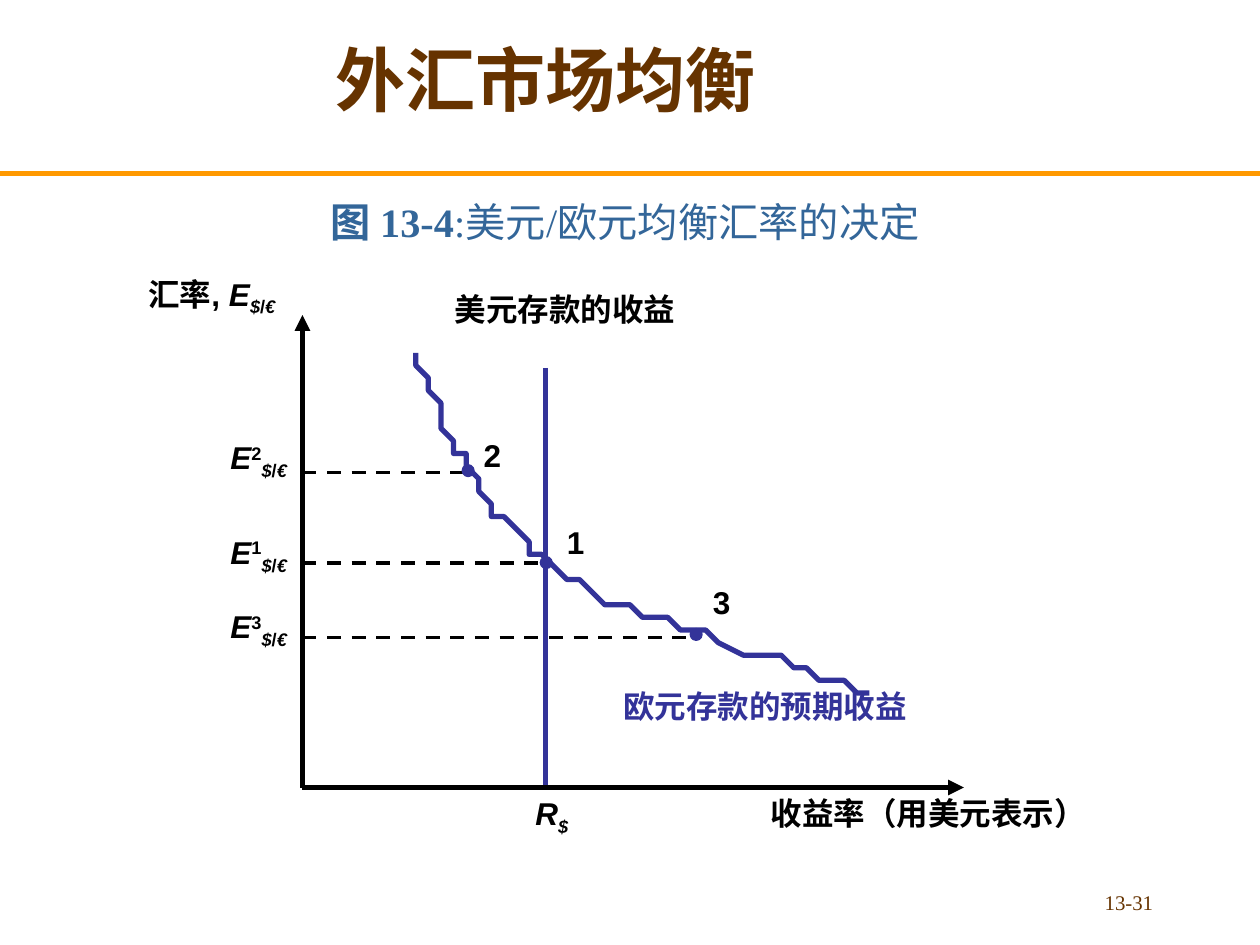
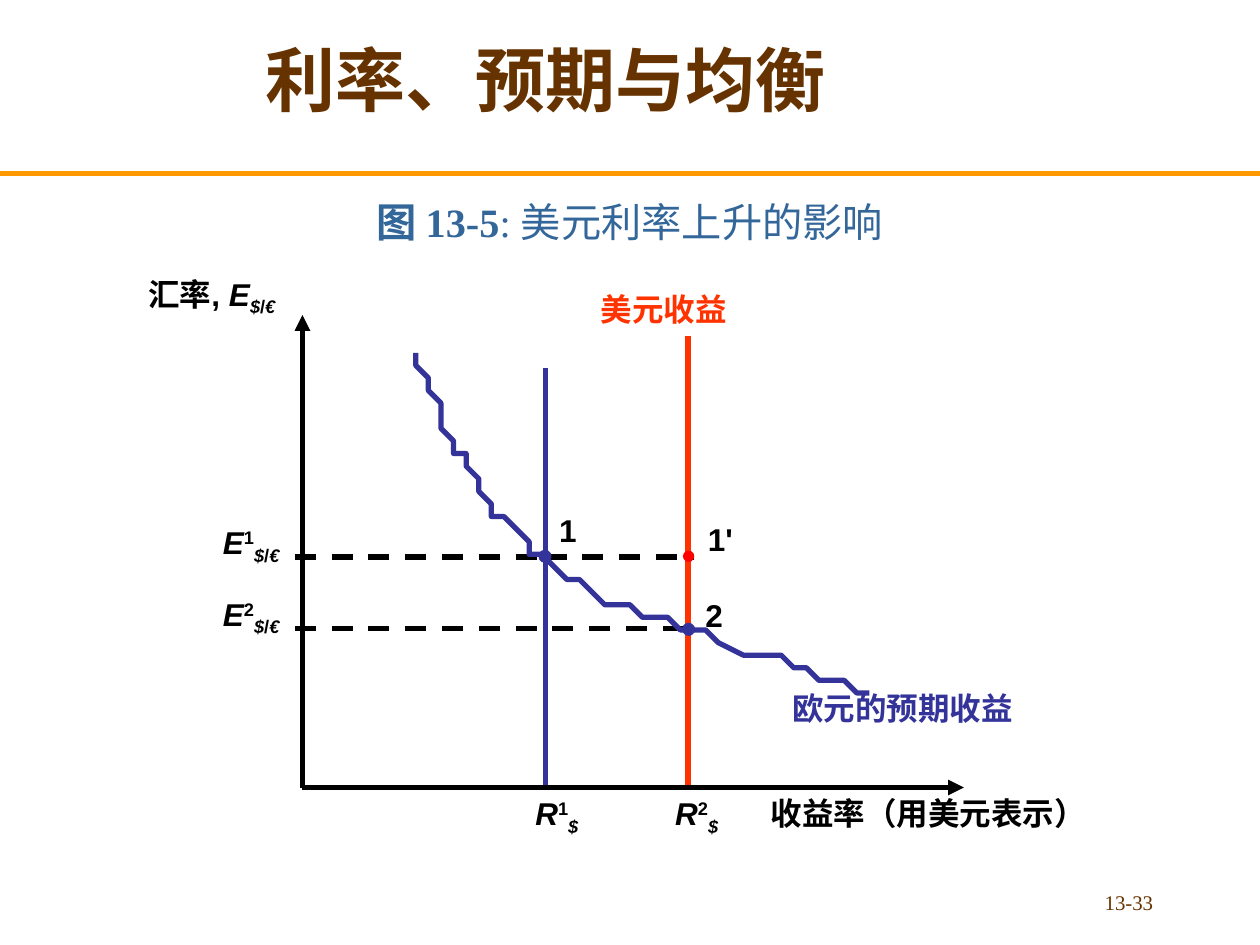
import pptx
import pptx.util
import pptx.dml.color
import pptx.enum.dml
import pptx.enum.shapes
import pptx.enum.text
import pptx.oxml.ns
from lxml import etree

COLORS = {"brown": "663300", "orange": "FF9900", "steel": "336699", "black": "000000",
          "indigo": "333399", "scarlet": "FF3300", "red": "FF0000"}
ALIGN = pptx.enum.text.PP_ALIGN
ANCHOR = pptx.enum.text.MSO_ANCHOR
rgb = pptx.dml.color.RGBColor.from_string

deck = pptx.Presentation()
deck.slide_width = pptx.util.Inches(10)
deck.slide_height = pptx.util.Inches(7.5)
# The slide is a grid of 100 columns by 75 rows.
COL = deck.slide_width / 100
ROW = deck.slide_height / 75


def draw_line(page, x1, y1, x2, y2, color, width=3, dashed=False, arrow=False):
    line = page.shapes.add_connector(
        pptx.enum.shapes.MSO_CONNECTOR.STRAIGHT,
        int(x1 * COL), int(y1 * ROW), int(x2 * COL), int(y2 * ROW))
    line.line.color.rgb = rgb(COLORS[color])
    line.line.width = pptx.util.Pt(width)
    if dashed:
        line.line.dash_style = pptx.enum.dml.MSO_LINE.DASH
    properties = line._element.spPr
    if arrow:
        etree.SubElement(properties.find(pptx.oxml.ns.qn("a:ln")),
                         pptx.oxml.ns.qn("a:tailEnd"), type="triangle")
    etree.SubElement(properties, pptx.oxml.ns.qn("a:effectLst"))


def add_text(page, x, y, width, height, spans, color="black", size=18, font="Arial",
             align=ALIGN.LEFT, anchor=ANCHOR.TOP):
    """Spans are (text, style): b bold, i italic, + superscript, - subscript."""
    box = page.shapes.add_textbox(int(x * COL), int(y * ROW), int(width * COL), int(height * ROW))
    box.text_frame.word_wrap = True
    box.text_frame.vertical_anchor = anchor
    para = box.text_frame.paragraphs[0]
    para.alignment = align
    for text, style in spans:
        span = para.add_run()
        span.text = text
        span.font.name = font
        span.font.size = pptx.util.Pt(size)
        span.font.color.rgb = rgb(COLORS[color])
        span.font.bold = "b" in style
        span.font.italic = "i" in style
        if "+" in style:
            span.font._rPr.set("baseline", "30000")
        elif "-" in style:
            span.font._rPr.set("baseline", "-25000")


# Axes, in grid units
ORIGIN_X, ORIGIN_Y = 24, 62.5
AXIS_TOP, AXIS_RIGHT = 25, 76.5
DOT = 0.9
DOLLAR = [("$", "bi-")]
DOLLAR_PER_EURO = DOLLAR + [("/", "b-"), ("€", "bi-")]

# Expected euro return: two Bezier segments sampled at equal steps
BEZIERS = [[(33.1, 28.3), (35.6, 34.4), (38, 40.6), (44, 45)],
           [(44, 45), (49.9, 49.4), (64.8, 53.3), (69, 55)]]
STEPS = 20
curve_points = [BEZIERS[0][0]]
for a, b, c, d in BEZIERS:
    for step in range(1, STEPS + 1):
        t = step / STEPS
        curve_points.append(tuple(
            (1 - t) ** 3 * a[i] + 3 * (1 - t) ** 2 * t * b[i]
            + 3 * (1 - t) * t ** 2 * c[i] + t ** 3 * d[i] for i in (0, 1)))

# returns: x, top, colour, label x, superscript
# dashes: y, from x, to x
# rates: superscript, label y
# points: centre x, centre y, colour, label, label x, label y
# labels: text, x, y, colour
SLIDES = [
    {"title": "外汇市场均衡", "number": "13-31",
     "figure": "图 13-4", "caption": ":美元/欧元均衡汇率的决定 ",
     "returns": [(43.3, 29.2, "indigo", 41.5, "")],
     "dash_width": 2,
     "dashes": [(37.5, 24, 37.3), (44.7, 24, 43.1), (50.6, 24, 55.6)],
     "rate_x": 17.3,
     "rates": [("2", 34.3), ("1", 41.8), ("3", 47.7)],
     "points": [(37.15, 37.35, "indigo", "2", 37.4, 34.1),
                (43.35, 44.65, "indigo", "1", 44, 41),
                (55.25, 50.35, "indigo", "3", 55.6, 45.8)],
     "labels": [("美元存款的收益", 35.1, 22.5, "black"),
                ("欧元存款的预期收益", 48.5, 54, "indigo")]},
    {"title": "利率、预期与均衡", "number": "13-33",
     "figure": "图 13-5", "caption": ": 美元利率上升的影响",
     "returns": [(54.6, 26.7, "scarlet", 52.6, "2"), (43.3, 29.2, "indigo", 41.5, "1")],
     "dash_width": 3,
     "dashes": [(49.9, 23.4, 55.1), (44.2, 43.3, 55), (44.2, 23.4, 43.3)],
     "rate_x": 16.7,
     "rates": [("2", 46.7), ("1", 41)],
     "points": [(54.65, 49.95, "indigo", "2", 55, 46.8),
                (54.65, 44.15, "red", "1'", 55.2, 40.8),
                (43.25, 44.15, "indigo", "1", 43.4, 40.1)],
     "labels": [("美元收益", 46.7, 22.5, "scarlet"),
                ("欧元的预期收益", 61.9, 54.2, "indigo")]},
]

for content in SLIDES:
    page = deck.slides.add_slide(deck.slide_layouts[5])

    # Title, rule, caption and page number
    title = page.shapes.title
    title.left, title.top = int(0.8 * COL), 0
    title.width, title.height = int(85 * COL), int(12.5 * ROW)
    title.text_frame.text = content["title"]
    title.text_frame.vertical_anchor = ANCHOR.MIDDLE
    para = title.text_frame.paragraphs[0]
    para.alignment = ALIGN.CENTER
    font = para.runs[0].font
    font.name, font.size, font.bold = "Times New Roman", pptx.util.Pt(40), True
    font.color.rgb = rgb(COLORS["brown"])
    draw_line(page, 0, 13.8, 100, 13.8, "orange")
    add_text(page, 0, 15, 100, 5, [(content["figure"], "b"), (content["caption"], "")],
             "steel", 23, "Times New Roman", ALIGN.CENTER, ANCHOR.BOTTOM)
    add_text(page, 71.7, 70.1, 20.8, 3.2, [(content["number"], "")],
             "brown", 11.9, "Times New Roman", ALIGN.RIGHT)

    # Dollar returns and axes
    for x, top, color, label_x, mark in content["returns"]:
        draw_line(page, x, top, x, ORIGIN_Y, color)
        power = [(mark, "b+")] if mark else []
        add_text(page, label_x, ORIGIN_Y, 7.5, 4.4, [("R", "bi")] + power + DOLLAR)
    draw_line(page, ORIGIN_X, ORIGIN_Y, ORIGIN_X, AXIS_TOP, "black", arrow=True)
    draw_line(page, ORIGIN_X, ORIGIN_Y, AXIS_RIGHT, ORIGIN_Y, "black", arrow=True)
    add_text(page, 10.8, 21.3, 25.8, 4.4, [("汇率, ", "b"), ("E", "bi")] + DOLLAR_PER_EURO)
    add_text(page, 60.2, ORIGIN_Y, 30, 4, [("收益率（用美元表示）", "b")])

    # Exchange rate levels
    for y, start, end in content["dashes"]:
        draw_line(page, start, y, end, y, "black", content["dash_width"], dashed=True)
    for mark, y in content["rates"]:
        add_text(page, content["rate_x"], y, 11.8, 4.4,
                 [("E", "bi"), (mark, "b+")] + DOLLAR_PER_EURO)

    # Expected euro return
    builder = page.shapes.build_freeform(*curve_points[0], scale=(COL, ROW))
    builder.add_line_segments(curve_points[1:], close=False)
    curve = builder.convert_to_shape()
    curve.shadow.inherit = False
    curve.fill.background()
    curve.line.color.rgb = rgb(COLORS["indigo"])
    curve.line.width = pptx.util.Pt(3)

    # Marked points and curve labels
    for x, y, color, label, label_x, label_y in content["points"]:
        dot = page.shapes.add_shape(
            pptx.enum.shapes.MSO_SHAPE.OVAL, int((x - DOT / 2) * COL), int((y - DOT / 2) * ROW),
            int(DOT * COL), int(DOT * ROW))
        dot.shadow.inherit = False
        dot.fill.solid()
        dot.fill.fore_color.rgb = rgb(COLORS[color])
        if color == "red":
            dot.line.fill.background()
        else:
            dot.line.color.rgb = rgb(COLORS[color])
            dot.line.width = pptx.util.Pt(1)
        add_text(page, label_x, label_y, 5, 4, [(label, "b")])
    for text, x, y, color in content["labels"]:
        add_text(page, x, y, 26, 4, [(text, "b")], color)

deck.save("out.pptx")
